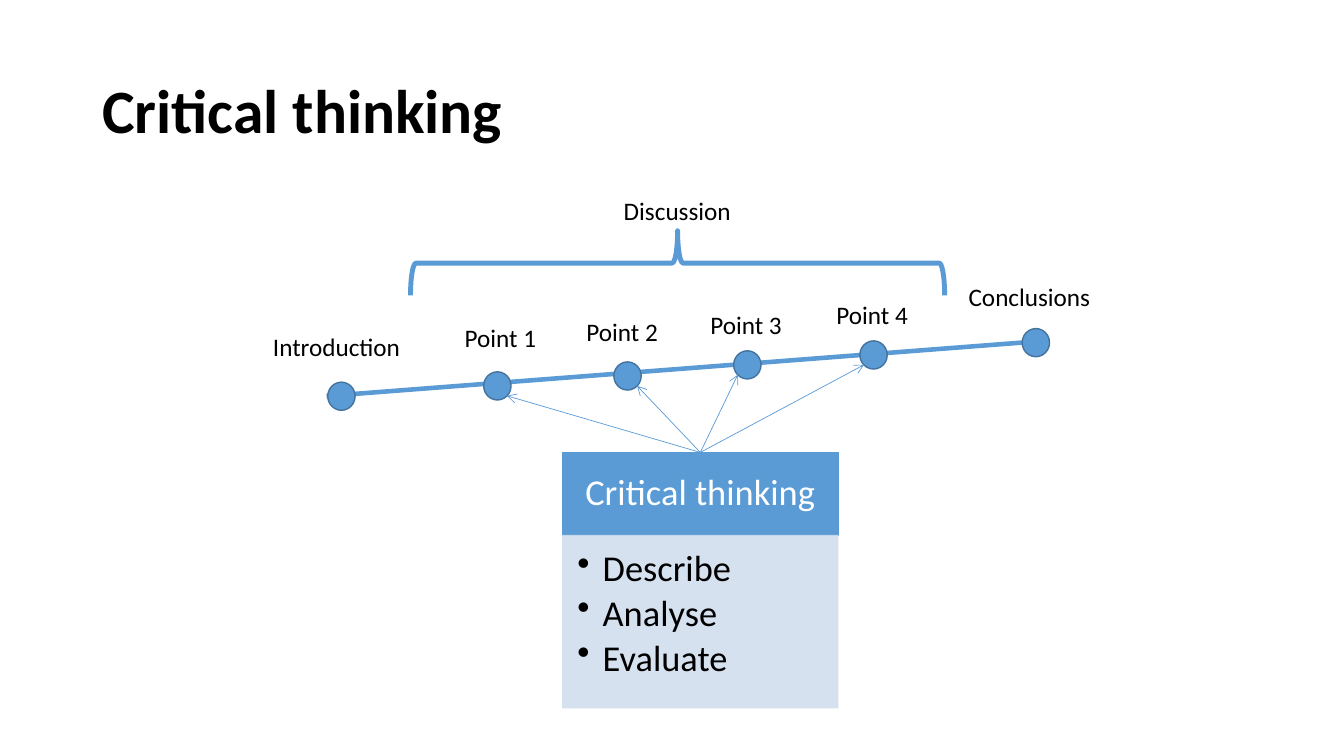
from lxml import etree
from pptx import Presentation
from pptx.dml.color import RGBColor
from pptx.enum.shapes import MSO_CONNECTOR as CONNECTOR, MSO_SHAPE as SHAPE
from pptx.enum.text import MSO_ANCHOR as ANCHOR, MSO_AUTO_SIZE as AUTO_SIZE, PP_ALIGN as ALIGN
from pptx.oxml.ns import qn
from pptx.util import Cm, Pt

COLORS = {
    "blue": "5B9BD5",
    "outline": "43739E",
    "pale": "D2DEEF",
    "black": "000000",
    "white": "FFFFFF",
}
DOT_W, DOT_H = 0.69, 0.71
LABEL_H = 1.02
# label, dot left and top, label left, top and width
STAGES = [
    ("Introduction", 8.26, 9.63, 6.63, 8.23, 3.89),
    ("Point 1", 12.19, 9.37, 11.46, 7.98, 2.34),
    ("Point 2", 15.47, 9.12, 14.53, 7.85, 2.34),
    ("Point 3", 18.49, 8.84, 17.65, 7.67, 2.34),
    ("Point 4", 21.67, 8.59, 20.83, 7.42, 2.34),
    ("Conclusions", 25.76, 8.28, 24.16, 6.96, 3.61),
]
BOX_LEFT, BOX_TOP, BOX_W = 14.17, 11.4, 6.96
HEAD_H, BODY_H = 2.08, 4.37


def rgb(name):
    return RGBColor.from_string(COLORS[name])


def add_shape(slide, kind, box, fill=None, line=None, width=1, alpha=None):
    """Add a preset shape; alpha is the fill's opacity in percent."""
    sp = slide.shapes.add_shape(kind, *map(Cm, box))
    sp.shadow.inherit = False
    if fill:
        sp.fill.solid()
        sp.fill.fore_color.rgb = rgb(fill)
    else:
        sp.fill.background()
    if line:
        sp.line.color.rgb = rgb(line)
        sp.line.width = Pt(width)
    else:
        sp.line.fill.background()
    if alpha:
        color = sp.fill._xPr.find(qn("a:solidFill"))[0]
        etree.SubElement(color, qn("a:alpha"), val=str(alpha * 1000))
    return sp


def add_line(slide, start, end, width, arrow=False):
    cx = slide.shapes.add_connector(CONNECTOR.STRAIGHT, *map(Cm, start + end))
    cx.line.color.rgb = rgb("blue")
    cx.line.width = Pt(width)
    if arrow:
        etree.SubElement(cx.line._get_or_add_ln(), qn("a:tailEnd"), type="arrow")
    etree.SubElement(cx._element.spPr, qn("a:effectLst"))


def add_bullet(p, indent):
    pPr = p._p.get_or_add_pPr()
    pPr.set("marL", str(Cm(indent)))
    pPr.set("indent", str(-Cm(indent)))
    etree.SubElement(pPr, qn("a:buChar"), char="•")


def write(sp, *lines, size=18, color="black", bold=False, align=ALIGN.LEFT,
          anchor=ANCHOR.TOP, insets=(0.25, 0.13, 0.25, 0.13), wrap=True,
          spacing=None, after=None, bullet=None):
    """Fill a shape with one paragraph per line; bullet is the hanging indent."""
    tf = sp.text_frame
    tf.word_wrap = wrap
    tf.auto_size = AUTO_SIZE.NONE if wrap else AUTO_SIZE.SHAPE_TO_FIT_TEXT
    tf.vertical_anchor = anchor
    tf.margin_left, tf.margin_top, tf.margin_right, tf.margin_bottom = map(Cm, insets)
    for i, line in enumerate(lines):
        p = tf.add_paragraph() if i else tf.paragraphs[0]
        p.alignment = align
        if spacing:
            p.line_spacing = spacing
        if after:
            p.space_after = Pt(after)
        if bullet:
            add_bullet(p, bullet)
        r = p.add_run()
        r.text = line
        r.font.name = "Calibri"
        r.font.size = Pt(size)
        r.font.bold = bold
        r.font.color.rgb = rgb(color)


def add_text(slide, box, *lines, **fmt):
    write(slide.shapes.add_textbox(*map(Cm, box)), *lines, **fmt)


def add_timeline(slide):
    add_line(slide, (8.23, 9.98), (26.31, 8.59), 3.25)
    for label, dot_x, dot_y, x, y, w in STAGES:
        add_shape(slide, SHAPE.OVAL, (dot_x, dot_y, DOT_W, DOT_H), "blue", "outline")
        add_text(slide, (x, y, w, LABEL_H), label, wrap=False)
    add_text(slide, (15.47, 4.78, 3.23, LABEL_H), "Discussion", wrap=False)
    brace = add_shape(slide, SHAPE.LEFT_BRACE, (16.26, -0.1, 1.63, 13.46),
                      line="blue", width=3.5)
    brace.rotation = 90


def add_thinking_box(slide):
    head = add_shape(slide, SHAPE.RECTANGLE, (BOX_LEFT, BOX_TOP, BOX_W, HEAD_H),
                     "blue", "blue")
    write(head, "Critical thinking", size=26, color="white", align=ALIGN.CENTER,
          anchor=ANCHOR.MIDDLE, insets=(0.5, 0.3, 0.5, 0.3), spacing=0.9)
    body = add_shape(slide, SHAPE.RECTANGLE,
                     (BOX_LEFT, BOX_TOP + HEAD_H, BOX_W, BODY_H), "pale", alpha=90)
    write(body, "Describe", "Analyse", "Evaluate", size=26,
          insets=(0.38, 0.38, 0.5, 0.58), spacing=0.9, after=4, bullet=0.64)


def add_arrows(slide):
    """Point from the top of the box to the near lower side of each point's dot."""
    start = (BOX_LEFT + BOX_W / 2, BOX_TOP)
    for _, x, y, *_ in STAGES[1:-1]:
        side = 0.85 if x < start[0] else 0.15
        add_line(slide, start, (x + side * DOT_W, y + 0.85 * DOT_H), 0.5, arrow=True)


def main():
    prs = Presentation()
    prs.slide_width, prs.slide_height = Cm(33.87), Cm(19.05)
    slide = prs.slides.add_slide(prs.slide_layouts[6])
    add_text(slide, (2.33, 1.01, 29.21, 3.68), "Critical thinking", size=44,
             bold=True, anchor=ANCHOR.MIDDLE, spacing=0.9)
    add_timeline(slide)
    add_thinking_box(slide)
    add_arrows(slide)
    prs.save("out.pptx")


if __name__ == "__main__":
    main()
